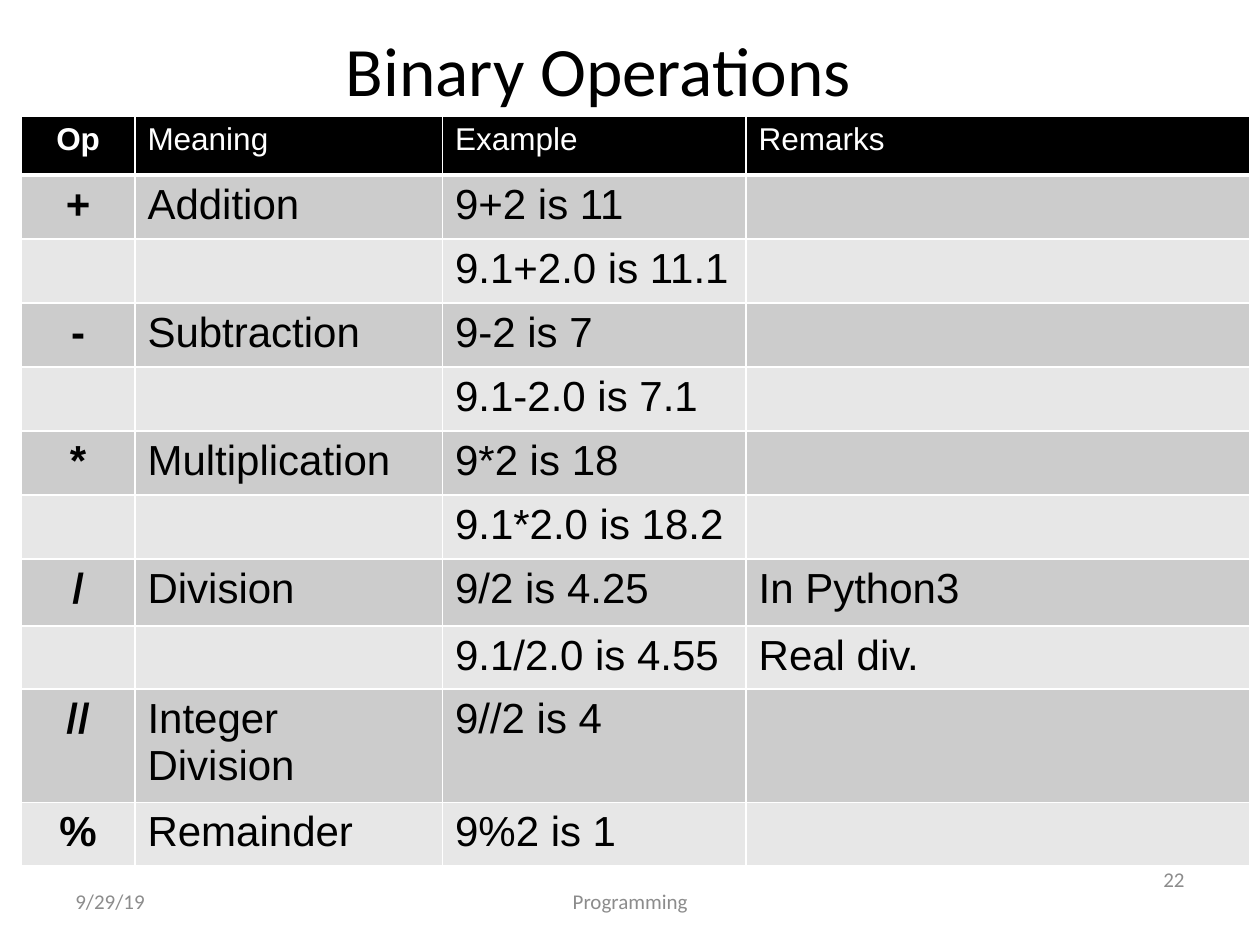
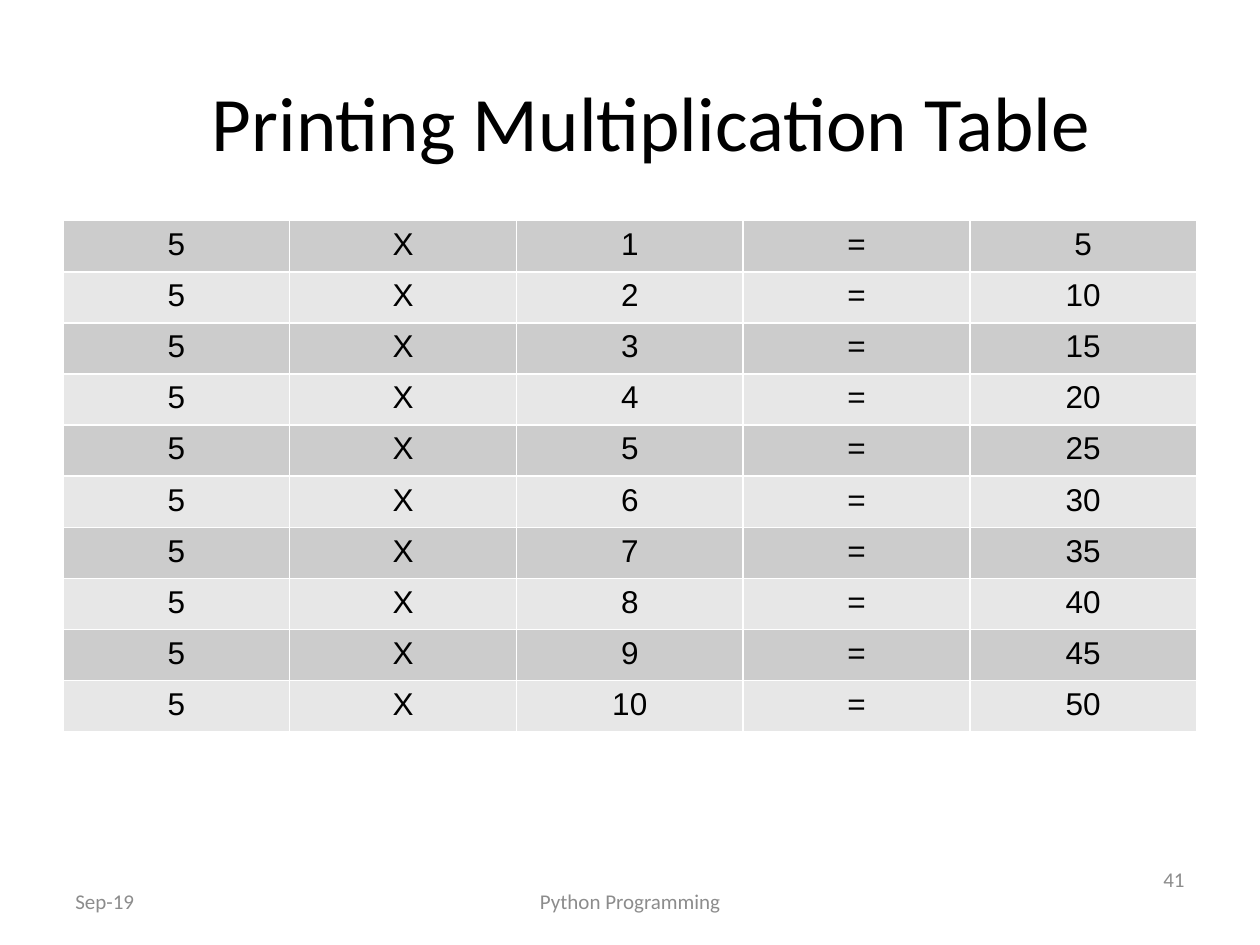
import pptx
import pptx.dml.color
import pptx.enum.text
import pptx.oxml
import pptx.oxml.ns
import pptx.util

Cm = pptx.util.Cm
Pt = pptx.util.Pt
RGBColor = pptx.dml.color.RGBColor
ALIGN = pptx.enum.text.PP_ALIGN
MIDDLE = pptx.enum.text.MSO_ANCHOR.MIDDLE

BLACK = RGBColor(0x00, 0x00, 0x00)
WHITE = RGBColor(0xFF, 0xFF, 0xFF)
FOOTER_GREY = RGBColor(0x8C, 0x8C, 0x8C)
BANDS = [RGBColor(0xCC, 0xCC, 0xCC), RGBColor(0xE7, 0xE7, 0xE7)]

OPERATIONS = [
    ("Op", "Meaning", "Example", "Remarks"),
    ("+", "Addition", "9+2 is 11", ""),
    ("", "", "9.1+2.0 is 11.1", ""),
    ("-", "Subtraction", "9-2 is 7", ""),
    ("", "", "9.1-2.0 is 7.1", ""),
    ("*", "Multiplication", "9*2 is 18", ""),
    ("", "", "9.1*2.0 is 18.2", ""),
    ("/", "Division", "9/2 is 4.25", "In Python3"),
    ("", "", "9.1/2.0 is 4.55", "Real div."),
    ("//", "Integer Division", "9//2 is 4", ""),
    ("%", "Remainder", "9%2 is 1", ""),
]
OPERATION_WIDTHS = [2.29, 6.2, 6.12, 10.16]
OPERATION_HEIGHTS = [1.19] + [1.29] * 6 + [1.35, 1.27, 2.16, 1.27]


def write_text(frame, text, font="Arial", size=18, color=BLACK, bold=False, align=ALIGN.LEFT):
    para = frame.paragraphs[0]
    para.alignment = align
    span = para.add_run()
    span.text = text
    span.font.name = font
    span.font.size = Pt(size)
    span.font.bold = bold
    span.font.color.rgb = color


def draw_borders(cell, bottom_width):
    properties = cell._tc.get_or_add_tcPr()
    for side in "LRTB":
        width = Pt(bottom_width if side == "B" else 1)
        properties.append(pptx.oxml.parse_xml(
            f'<a:ln{side} {pptx.oxml.ns.nsdecls("a")} w="{width}">'
            f'<a:solidFill><a:srgbClr val="{WHITE}"/></a:solidFill></a:ln{side}>'))


class Lesson:
    def __init__(self, deck):
        self.deck = deck
        self.page = None

    def add_page(self):
        self.page = self.deck.slides.add_slide(self.deck.slide_layouts[6])

    def add_text(self, text, left, top, width, height, **style):
        box = self.page.shapes.add_textbox(Cm(left), Cm(top), Cm(width), Cm(height))
        box.text_frame.word_wrap = True
        box.text_frame.vertical_anchor = MIDDLE
        write_text(box.text_frame, text, font="Calibri", **style)

    def add_title(self, text, left, top, width, height, size):
        self.add_text(text, left, top, width, height, size=size, align=ALIGN.CENTER)

    def add_footer(self, date, course, number):
        for text, left, top, width, align in [
            (date, 1.27, 17.65, 5.93, ALIGN.LEFT),
            (course, 8.68, 17.65, 8.05, ALIGN.CENTER),
            (number, 18.2, 17.22, 5.93, ALIGN.RIGHT),
        ]:
            self.add_text(text, left, top, width, 1.02, size=12, color=FOOTER_GREY, align=align)

    def add_table(self, rows, left, top, widths, heights, cell_style, has_header=False):
        table = self.page.shapes.add_table(
            len(rows), len(widths), Cm(left), Cm(top), Cm(sum(widths)), Cm(sum(heights))).table
        table.first_row = has_header
        for column, width in zip(table.columns, widths):
            column.width = Cm(width)
        for row, height in zip(table.rows, heights):
            row.height = Cm(height)
        for row_index, row in enumerate(rows):
            is_header = has_header and row_index == 0
            for column_index, text in enumerate(row):
                cell = table.cell(row_index, column_index)
                draw_borders(cell, 3 if is_header else 1)
                cell.fill.solid()
                cell.fill.fore_color.rgb = BLACK if is_header else BANDS[(row_index - has_header) % 2]
                if text:
                    write_text(cell.text_frame, text, **cell_style(is_header, column_index))


def operation_style(is_header, column_index):
    is_operator = column_index == 0
    return {
        "size": 18 if is_header else 24,
        "color": WHITE if is_header else BLACK,
        "bold": is_operator,
        "align": ALIGN.CENTER if is_operator else ALIGN.LEFT,
    }


def product_style(is_header, column_index):
    return {"align": ALIGN.CENTER}


def main():
    deck = pptx.Presentation()
    deck.slide_width = Cm(25.4)
    deck.slide_height = Cm(19.05)
    lesson = Lesson(deck)

    lesson.add_page()
    lesson.add_title("Binary Operations", 1.27, 0.43, 21.59, 1.9, size=39.6)
    lesson.add_footer("9/29/19", "Programming", "22")
    lesson.add_table(OPERATIONS, 0.43, 2.34, OPERATION_WIDTHS, OPERATION_HEIGHTS,
                     operation_style, has_header=True)

    lesson.add_page()
    lesson.add_title("Printing Multiplication Table", 1.7, 0.85, 22.86, 3.18, size=44)
    products = [("5", "X", str(factor), "=", str(5 * factor)) for factor in range(1, 11)]
    lesson.add_table(products, 1.27, 4.45, [4.57] * 5, [1.03] * 10, product_style)
    lesson.add_footer("Sep-19", "Python Programming", "41")

    deck.save("out.pptx")


if __name__ == "__main__":
    main()
